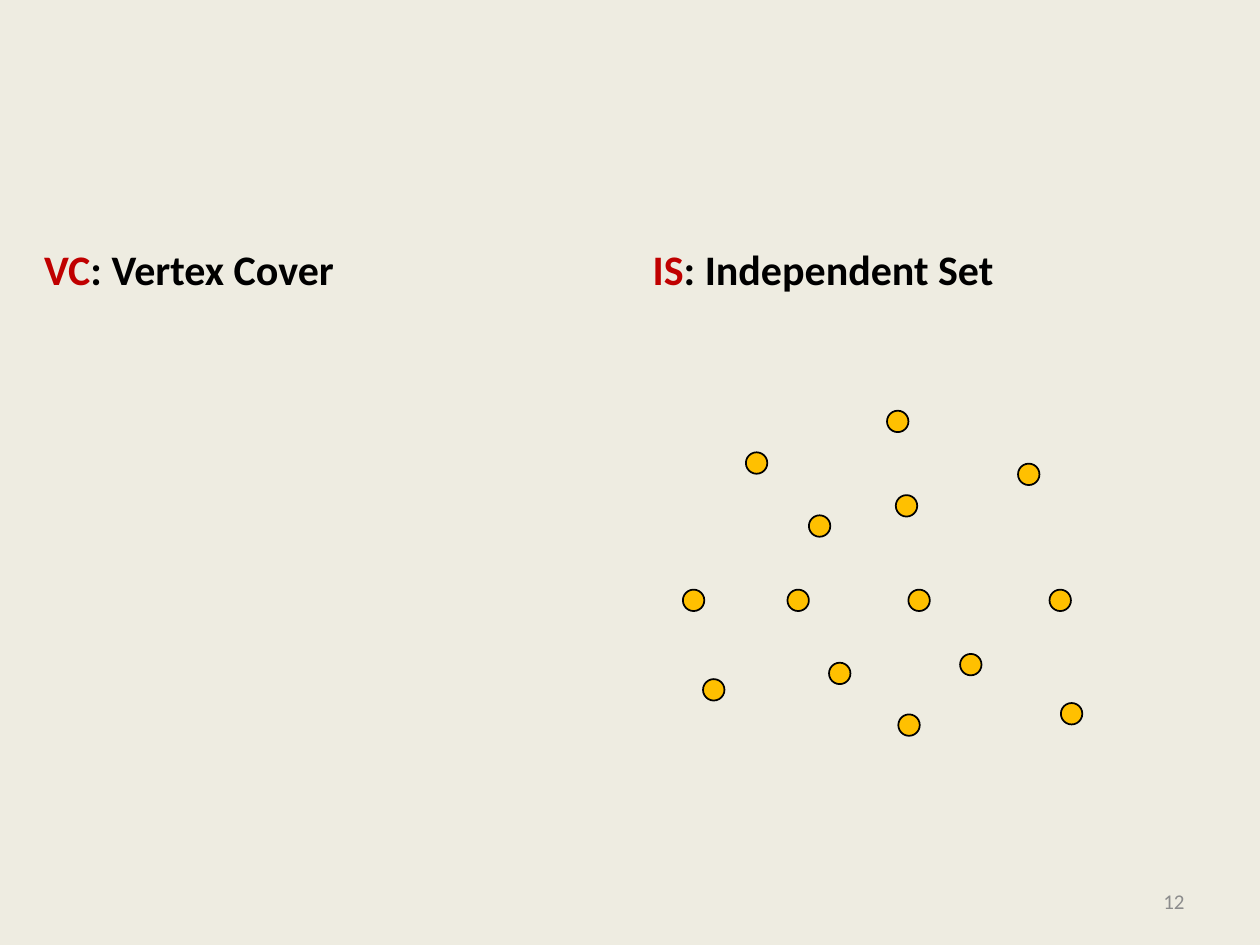
from dataclasses import dataclass

from pptx import Presentation
from pptx.dml.color import RGBColor
from pptx.enum.shapes import MSO_SHAPE
from pptx.enum.text import MSO_ANCHOR, PP_ALIGN
from pptx.util import Inches, Pt


@dataclass(frozen=True)
class Theme:
    font: str = "Calibri"
    paper: RGBColor = RGBColor(0xEE, 0xEC, 0xE1)
    ink: RGBColor = RGBColor(0, 0, 0)
    accent: RGBColor = RGBColor(0xC0, 0, 0)
    node: RGBColor = RGBColor(0xFF, 0xC0, 0)
    muted: RGBColor = RGBColor(0x8C, 0x8C, 0x8C)
    head: Pt = Pt(24)
    small: Pt = Pt(12)
    line: Pt = Pt(1)


THEME = Theme()
NODE_SIZE = 0.17
NODES = [
    (0.5, 0.33), (1.62, 0), (0.83, 1.42), (2.66, 0.42), (1.69, 0.67),
    (0.16, 2.13), (3, 2.32), (1.79, 1.42), (1.71, 2.41), (2.91, 1.42),
    (0, 1.42), (2.2, 1.93), (1, 0.83), (1.16, 2),
]


def place(shape, box):
    shape.left, shape.top, shape.width, shape.height = map(Inches, box)


def add_head(holder, box, short, name):
    place(holder, box)
    frame = holder.text_frame
    frame.vertical_anchor = MSO_ANCHOR.BOTTOM
    para = frame.paragraphs[0]
    para.font.name = THEME.font
    para.font.size = THEME.head
    para.font.bold = True
    for text, color in ((short, THEME.accent), (f": {name}", THEME.ink)):
        run = para.add_run()
        run.text = text
        run.font.color.rgb = color


def add_nodes(slide, left, top):
    group = slide.shapes.add_group_shape()
    for x, y in NODES:
        node = group.shapes.add_shape(
            MSO_SHAPE.OVAL, Inches(left + x), Inches(top + y),
            Inches(NODE_SIZE), Inches(NODE_SIZE))
        node.shadow.inherit = False
        node.fill.solid()
        node.fill.fore_color.rgb = THEME.node
        node.line.color.rgb = THEME.ink
        node.line.width = THEME.line


def add_number(slide, box, number):
    frame = slide.shapes.add_textbox(*map(Inches, box)).text_frame
    frame.word_wrap = True
    frame.vertical_anchor = MSO_ANCHOR.MIDDLE
    para = frame.paragraphs[0]
    para.text = str(number)
    para.alignment = PP_ALIGN.RIGHT
    para.font.name = THEME.font
    para.font.size = THEME.small
    para.font.color.rgb = THEME.muted


def main():
    deck = Presentation()
    deck.slide_width, deck.slide_height = Inches(10), Inches(7.5)
    slide = deck.slides.add_slide(deck.slide_layouts.get_by_name("Comparison"))
    slide.background.fill.solid()
    slide.background.fill.fore_color.rgb = THEME.paper

    holders = {h.placeholder_format.idx: h for h in slide.placeholders}
    add_head(holders.pop(1), (0.25, 1.68, 4.42, 0.7), "VC", "Vertex Cover")
    add_head(holders.pop(3), (5.08, 1.68, 4.42, 0.7), "IS", "Independent Set")
    for holder in holders.values():
        holder.element.getparent().remove(holder.element)

    add_nodes(slide, 5.42, 3.26)
    add_number(slide, (7.17, 6.95, 2.33, 0.4), 12)
    deck.save("out.pptx")


if __name__ == "__main__":
    main()
